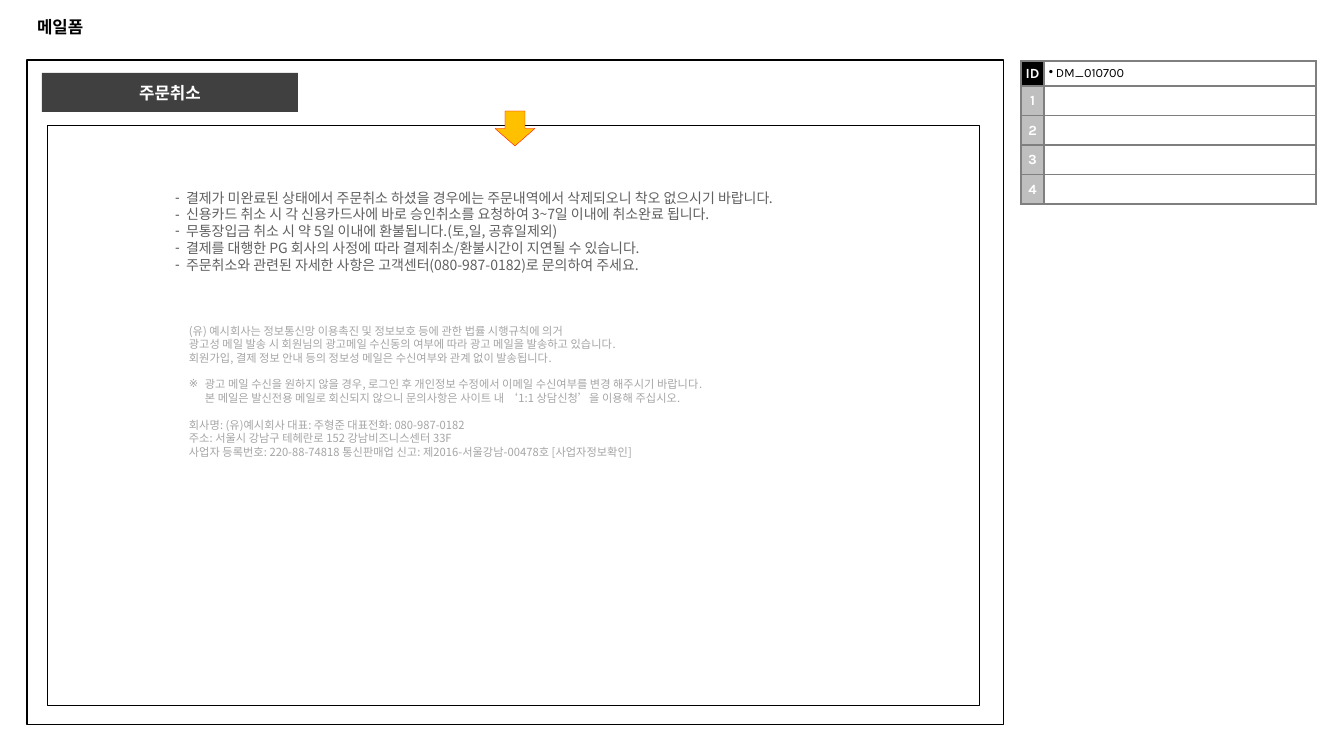
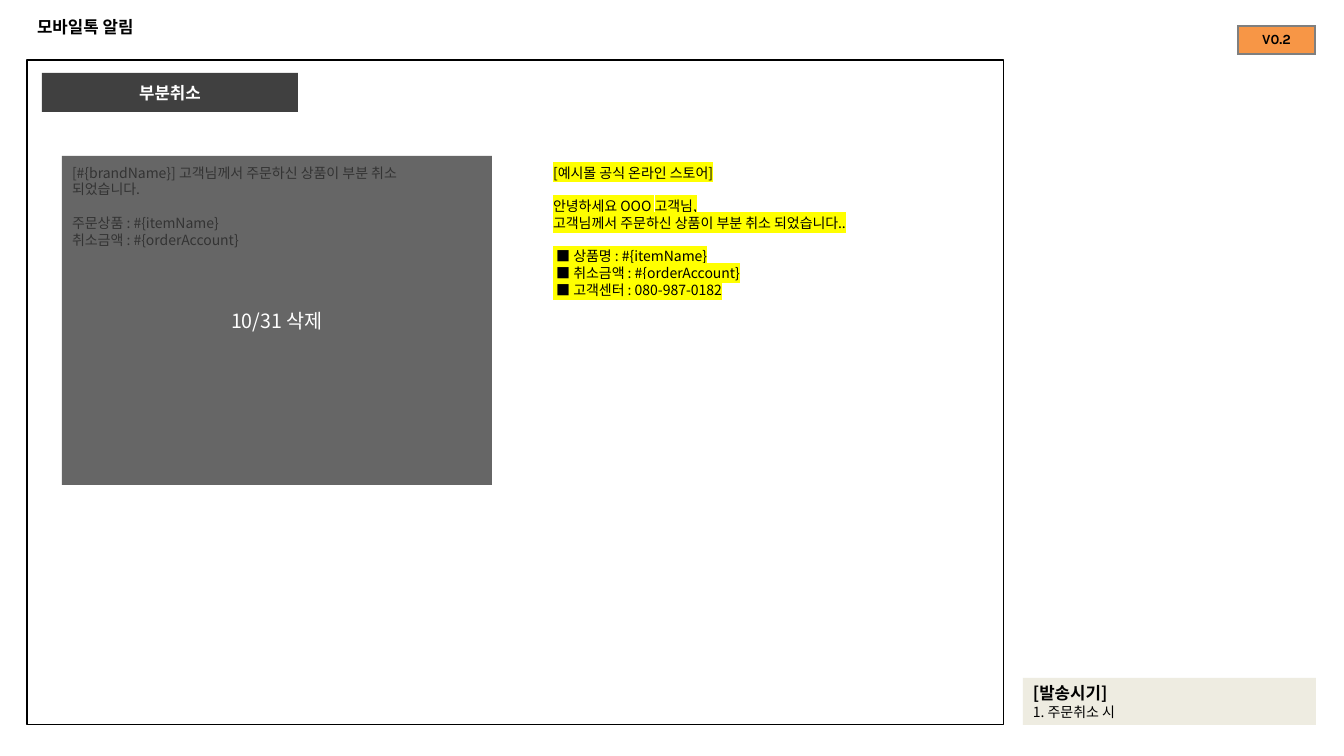
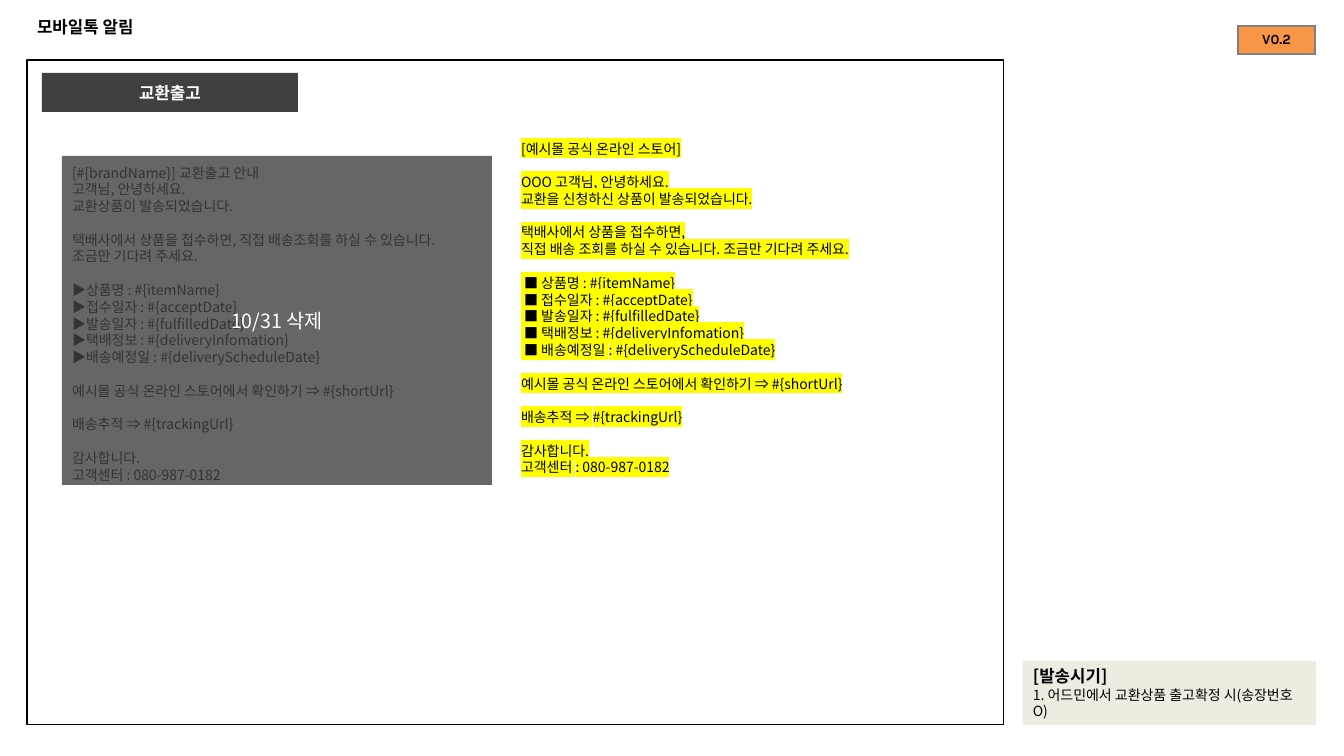
import pptx
import pptx.util
import pptx.dml.color
import pptx.enum.shapes
import pptx.enum.text
import pptx.oxml.ns
from lxml import etree

PX = 914400 / 100.8
COLORS = {
    "black": "000000", "white": "FFFFFF", "dark": "404040", "body": "606060",
    "fine": "A5A5A5", "grid": "7F7F7F", "number": "BFBFBF", "amber": "FFC000",
    "red": "FF0000", "orange": "F79646", "beige": "EEECE1", "yellow": "FFFF00",
}
HANGUL = "Noto Sans CJK KR"
FRAME = (27, 60, 977, 665)
TITLE = (27, 7, 1289, 39)
ALIGN = pptx.enum.text.PP_ALIGN
ANCHOR = pptx.enum.text.MSO_ANCHOR
SHAPE = pptx.enum.shapes.MSO_SHAPE
qn = pptx.oxml.ns.qn


def px(n):
    return pptx.util.Emu(round(n * PX))


def rgb(name):
    return pptx.dml.color.RGBColor.from_string(COLORS[name])


def place(sp, box):
    sp.left, sp.top, sp.width, sp.height = map(px, box)


def format_run(r, size, font, color, bold, highlight):
    r.font.size = pptx.util.Pt(size)
    r.font.bold = bold
    r.font.color.rgb = rgb(color)
    r.font.name = font
    rpr = r._r.get_or_add_rPr()
    if highlight:
        mark = etree.Element(qn("a:highlight"))
        etree.SubElement(mark, qn("a:srgbClr"), val=COLORS[highlight])
        rpr.find(qn("a:solidFill")).addnext(mark)
    rpr.find(qn("a:latin")).addnext(etree.Element(qn("a:ea"), typeface=HANGUL))


def write(tf, groups, size=10, font=HANGUL, color="black", bold=False,
          align=ALIGN.LEFT, highlight=None, bullet=None, hang=0, gap=True):
    """Append groups of lines to tf, with one line of space between groups."""
    line = pptx.util.Pt(size * 1.2)
    for group in groups:
        for i, text in enumerate(group):
            first = not tf.text
            p = tf.paragraphs[0] if first else tf.add_paragraph()
            ppr = p._p.get_or_add_pPr()
            ppr.set("marL", str(px(hang)))
            ppr.set("indent", str(px(-hang)))
            if bullet:
                etree.SubElement(ppr, qn("a:buChar"), char=bullet)
            else:
                etree.SubElement(ppr, qn("a:buNone"))
            p.alignment = align
            p.line_spacing = line
            p.space_before = line if gap and i == 0 and not first else 0
            for j, part in enumerate(text.split("\n")):
                if j:
                    p.add_line_break()
                r = p.add_run()
                r.text = part
                format_run(r, size, font, color, bold, highlight)


def text_area(sp, box, anchor=ANCHOR.TOP):
    place(sp, box)
    tf = sp.text_frame
    tf.word_wrap = True
    tf.auto_size = pptx.enum.text.MSO_AUTO_SIZE.NONE
    tf.vertical_anchor = anchor
    return tf


def add_box(slide, box, fill=None, line=None, width=0.25, kind=SHAPE.RECTANGLE, alpha=None):
    sp = slide.shapes.add_shape(kind, *map(px, box))
    sp.shadow.inherit = False
    if fill:
        sp.fill.solid()
        sp.fill.fore_color.rgb = rgb(fill)
        if alpha:
            clr = sp.fill._xPr.find(qn("a:solidFill"))[0]
            etree.SubElement(clr, qn("a:alpha"), val=str(alpha * 1000))
    else:
        sp.fill.background()
    if line:
        sp.line.color.rgb = rgb(line)
        sp.line.width = pptx.util.Pt(width)
    else:
        sp.line.fill.background()
    return sp


def add_grid(slide, box, cols, rows):
    """Add a plain table whose cells have thin grey borders."""
    tbl = slide.shapes.add_table(len(rows), len(cols), *map(px, box)).table
    tbl.first_row = tbl.horz_banding = False
    for col, w in zip(tbl.columns, cols):
        col.width = px(w)
    for row, h in zip(tbl.rows, rows):
        row.height = px(h)
    for cell in tbl.iter_cells():
        tcpr = cell._tc.get_or_add_tcPr()
        for side in "LRTB":
            ln = etree.SubElement(tcpr, qn("a:ln" + side), w="12700")
            fill = etree.SubElement(ln, qn("a:solidFill"))
            etree.SubElement(fill, qn("a:srgbClr"), val=COLORS["grid"])
        cell.fill.background()
    return tbl


def label_cell(cell, text, fill, color):
    cell.margin_left = cell.margin_right = cell.margin_top = cell.margin_bottom = 0
    cell.vertical_anchor = ANCHOR.MIDDLE
    cell.fill.solid()
    cell.fill.fore_color.rgb = rgb(fill)
    write(cell.text_frame, [[text]], font="Karla", color=color, bold=True, align=ALIGN.CENTER)


def add_page(prs, layout, title, heading):
    slide = prs.slides.add_slide(prs.slide_layouts.get_by_name(layout))
    write(text_area(slide.shapes.title, TITLE, ANCHOR.MIDDLE), [[title]],
          size=12, font="Arial", bold=True)
    x, y, w, h = FRAME
    add_box(slide, FRAME, line="black", width=0.75)
    badge = add_box(slide, (x + 15, y + 13, 256, 39), "dark")
    badge.text_frame.vertical_anchor = ANCHOR.MIDDLE
    write(badge.text_frame, [[heading]], size=12, font="Arial", color="white",
          bold=True, align=ALIGN.CENTER)
    return slide


def add_id_table(slide, box, page_id, count):
    x, y, w, h = box
    head, label = 25, 23
    step = (h - head) / count
    tbl = add_grid(slide, box, [label, w - label], [head] + [step] * count)
    label_cell(tbl.cell(0, 0), "ID", "black", "white")
    for i in range(count + 1):
        cell = tbl.cell(i, 1)
        cell.margin_left = cell.margin_right = cell.margin_top = cell.margin_bottom = px(5)
        if i:
            label_cell(tbl.cell(i, 0), str(i), "number", "white")
            etree.SubElement(cell.text_frame.paragraphs[0]._p, qn("a:endParaRPr"), sz="900")
    write(tbl.cell(0, 1).text_frame, [[page_id]], size=9, font="Karla", bullet="•", hang=7)


def add_mail(slide, box, notices, terms, optout, company):
    x, y, w, h = box
    add_box(slide, box, line="black")
    add_box(slide, (x + 448, y - 14, 40, 35), "amber", "red", kind=SHAPE.DOWN_ARROW)
    tf = text_area(slide.placeholders[1], (x + 118, y + 59, 697, 95))
    write(tf, [notices], color="body", bullet="-", hang=11)
    fine = slide.shapes.add_textbox(0, 0, 0, 0)
    tf = text_area(fine, (x + 132, y + 194, 672, 146))
    style = dict(size=8, color="fine")
    write(tf, [terms], **style)
    write(tf, [[optout]], bullet="※", hang=16, **style)
    write(tf, [company], **style)


def add_deleted_message(slide, box, groups):
    x, y, w, h = box
    write(text_area(slide.placeholders[1], (x, y + 3, 415, h + 4)), groups)
    cover = add_box(slide, box, "dark", alpha=80)
    cover.text_frame.vertical_anchor = ANCHOR.MIDDLE
    write(cover.text_frame, [["10/31 삭제"]], size=14, color="white", align=ALIGN.CENTER)


def add_send_time(slide, box, text):
    tf = text_area(add_box(slide, box, "beige"), box)
    write(tf, [["[발송시기]"]], size=12, bold=True)
    write(tf, [[text]], gap=False)


def add_alert_page(prs, heading, old, new, new_box, send_time, note_height):
    slide = add_page(prs, "Two Content", "모바일톡 알림", heading)
    add_deleted_message(slide, (62, 156, 430, 329), old)
    write(text_area(slide.placeholders[2], new_box), new, highlight="yellow")
    tag = add_grid(slide, (1238, 26, 77, 28), [77], [28])
    label_cell(tag.cell(0, 0), "V0.2", "orange", "black")
    bottom = FRAME[1] + FRAME[3]
    add_send_time(slide, (1023, bottom - note_height, 293, note_height), send_time)


def main():
    prs = pptx.Presentation()
    prs.slide_width, prs.slide_height = px(1344), px(756)

    slide = add_page(prs, "Title and Content", "메일폼", "주문취소")
    add_mail(
        slide, (47, 125, 932, 580),
        ["결제가 미완료된 상태에서 주문취소 하셨을 경우에는 주문내역에서 삭제되오니 착오 없으시기 바랍니다.",
         "신용카드 취소 시 각 신용카드사에 바로 승인취소를 요청하여 3~7일 이내에 취소완료 됩니다.",
         "무통장입금 취소 시 약 5일 이내에 환불됩니다.(토,일, 공휴일제외)",
         "결제를 대행한 PG 회사의 사정에 따라 결제취소/환불시간이 지연될 수 있습니다.",
         "주문취소와 관련된 자세한 사항은 고객센터(080-987-0182)로 문의하여 주세요."],
        ["(유) 예시회사는 정보통신망 이용촉진 및 정보보호 등에 관한 법률 시행규칙에 의거",
         "광고성 메일 발송 시 회원님의 광고메일 수신동의 여부에 따라 광고 메일을 발송하고 있습니다.",
         "회원가입, 결제 정보 안내 등의 정보성 메일은 수신여부와 관계 없이 발송됩니다."],
        "광고 메일 수신을 원하지 않을 경우, 로그인 후 개인정보 수정에서 이메일 수신여부를 변경 해주시기 바랍니다.\n"
        "본 메일은 발신전용 메일로 회신되지 않으니 문의사항은 사이트 내 ‘1:1 상담신청’을 이용해 주십시오.",
        ["회사명: (유)예시회사 대표: 주형준 대표전화: 080-987-0182",
         "주소: 서울시 강남구 테헤란로 152 강남비즈니스센터 33F",
         "사업자 등록번호: 220-88-74818 통신판매업 신고: 제2016-서울강남-00478호 [사업자정보확인]"])
    add_id_table(slide, (1021, 61, 295, 143), "DM_010700", 4)

    store = ["[예시몰 공식 온라인 스토어]"]
    center = "고객센터 : 080-987-0182"
    add_alert_page(
        prs, "부분취소",
        [["[#{brandName}] 고객님께서 주문하신 상품이 부분 취소\n되었습니다."],
         ["주문상품 : #{itemName}", "취소금액 : #{orderAccount}"]],
        [store,
         ["안녕하세요 OOO 고객님,", "고객님께서 주문하신 상품이 부분 취소 되었습니다.."],
         [" ■ 상품명 : #{itemName}", " ■ 취소금액 : #{orderAccount}", " ■ " + center]],
        (543, 159, 415, 163), "1. 주문취소 시", 47)

    details = ["상품명 : #{itemName}", "접수일자 : #{acceptDate}", "발송일자 : #{fulfilledDate}",
               "택배정보 : #{deliveryInfomation}", "배송예정일 : #{deliveryScheduleDate}"]
    closing = [["예시몰 공식 온라인 스토어에서 확인하기 ⇒ #{shortUrl}"],
               ["배송추적 ⇒ #{trackingUrl}"],
               ["감사합니다.", center]]
    add_alert_page(
        prs, "교환출고",
        [["[#{brandName}] 교환출고 안내", "고객님, 안녕하세요.", "교환상품이 발송되었습니다."],
         ["택배사에서 상품을 접수하면, 직접 배송조회를 하실 수 있습니다. 조금만 기다려 주세요."],
         ["▶" + d for d in details]] + closing,
        [store,
         ["OOO 고객님, 안녕하세요.", "교환을 신청하신 상품이 발송되었습니다."],
         ["택배사에서 상품을 접수하면,", "직접 배송 조회를 하실 수 있습니다. 조금만 기다려 주세요."],
         [" ■ " + d for d in details]] + closing,
        (511, 135, 415, 350), "1. 어드민에서 교환상품 출고확정 시(송장번호 O)", 64)

    prs.save("out.pptx")


if __name__ == "__main__":
    main()
